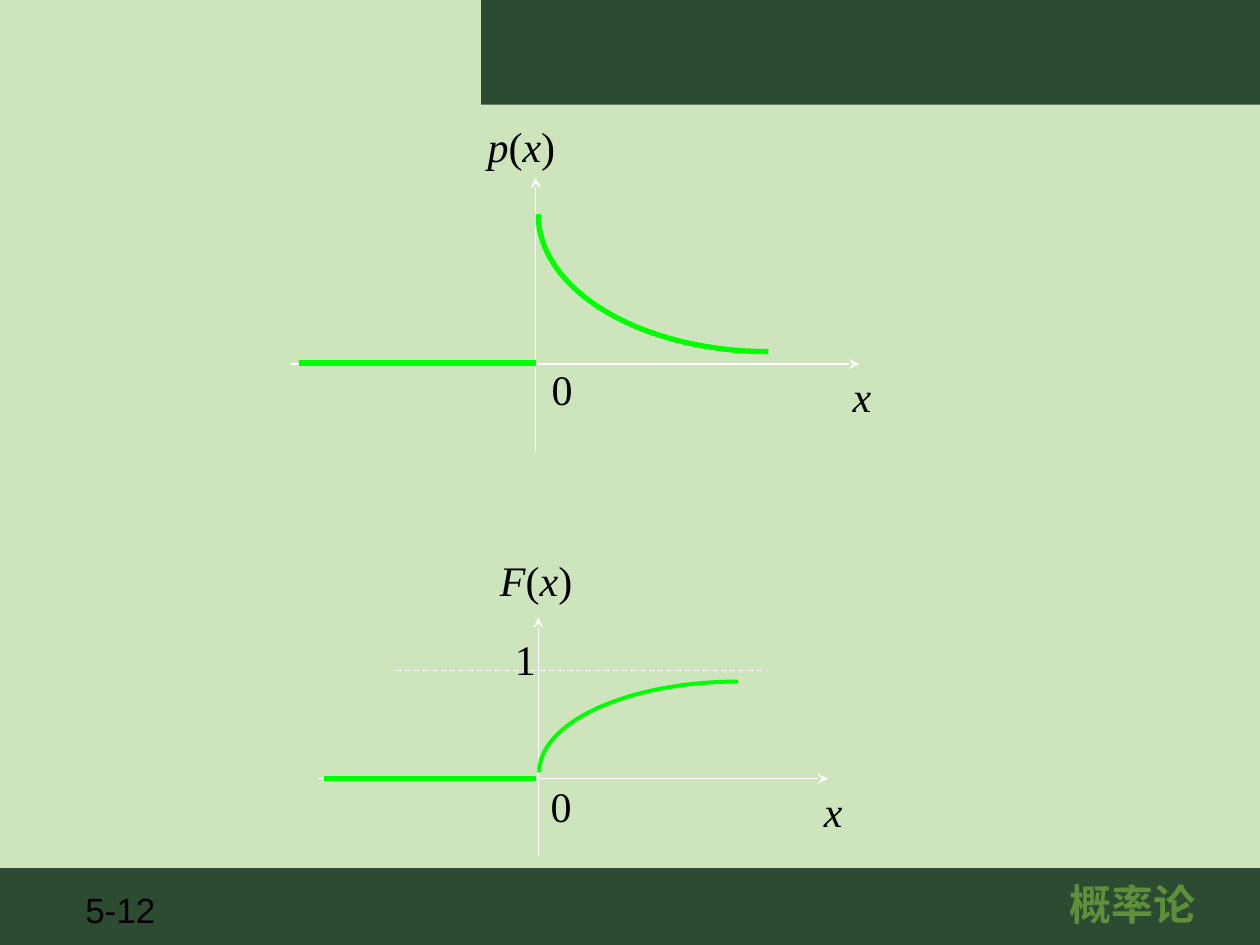
from math import cos, pi, sin

from pptx import Presentation
from pptx.dml.color import RGBColor
from pptx.enum import dml, shapes, text
from pptx.oxml.ns import qn
from pptx.util import Cm, Pt

COLOURS = {
    "ground": "CDE4BC",
    "footer": "2D4B33",
    "header": "2C4A32",
    "course": "5F8F3B",
    "ink": "000000",
    "axis": "FFFFFF",
    "curve": "00FF00",
}

# All lengths are in centimetres; text runs are (text, italic)
FOOTER = (0, 17.5, 25.4, 1.6)
HEADER = (9.7, 0, 15.7, 2.11)
PAGE_NUMBER = ("5-12", (1.47, 17.78, 1.98, 1.09))
COURSE = ("概率论", (18.9, 17.58, 7.85, 1.27))

LABEL_HEIGHT = 1.27
ARC_STEPS = 32

PLOTS = [
    {   # distribution function
        "asymptote": (7.98, 13.51, 15.47, 13.51),
        "x_axis": (6.43, 15.7, 16.69, 15.7),
        "y_axis": (10.85, 17.25, 10.85, 12.45),
        "zero_part": (6.53, 15.7, 10.8, 15.7),
        "arc": {"centre": (14.88, 15.57), "radii": (4.01, -1.83), "width": 2.25},
        "labels": [
            ([("1", False)], 10.13, 12.65, 0.91),
            ([("x", True)], 16.36, 15.72, 0.89),
            ([("F", True), ("(", False), ("x", True), (")", False)], 9.83, 11.05, 1.96),
            ([("0", False)], 10.85, 15.6, 0.91),
        ],
    },
    {   # density
        "x_axis": (5.87, 7.34, 17.32, 7.34),
        "y_axis": (10.8, 9.12, 10.8, 3.58),
        "zero_part": (6.02, 7.32, 10.8, 7.32),
        "arc": {"centre": (15.49, 4.32), "radii": (4.64, 2.77), "width": 3},
        "labels": [
            ([("x", True)], 16.94, 7.34, 0.89),
            ([("p", True), ("(", False), ("x", True), (")", False)], 9.58, 2.31, 2.9),
            ([("0", False)], 10.87, 7.21, 0.91),
        ],
    },
]


def colour(name):
    return RGBColor.from_string(COLOURS[name])


def add_band(page, place, fill):
    band = page.shapes.add_shape(shapes.MSO_SHAPE.RECTANGLE, *map(Cm, place))
    band.shadow.inherit = False
    band.fill.solid()
    band.fill.fore_color.rgb = colour(fill)
    band.line.fill.background()


def add_text(parent, runs, place, size, font, ink="ink", bold=False, wrap=False,
             align=text.PP_ALIGN.LEFT):
    box = parent.add_textbox(*map(Cm, place))
    frame = box.text_frame
    frame.word_wrap = wrap
    frame.auto_size = text.MSO_AUTO_SIZE.SHAPE_TO_FIT_TEXT
    para = frame.paragraphs[0]
    para.alignment = align
    for words, italic in runs:
        span = para.add_run()
        span.text = words
        span.font.name = font
        span.font.size = Pt(size)
        span.font.bold = bold
        span.font.italic = italic
        span.font.color.rgb = colour(ink)


def add_line(parent, ends, ink, width, arrow=False, dashed=False):
    line = parent.add_connector(shapes.MSO_CONNECTOR.STRAIGHT, *map(Cm, ends))
    line.line.color.rgb = colour(ink)
    line.line.width = Pt(width)
    if dashed:
        line.line.dash_style = dml.MSO_LINE.DASH
    properties = line._element.spPr
    if arrow:
        head = properties.find(qn("a:ln")).makeelement(qn("a:tailEnd"), {"type": "stealth"})
        properties.find(qn("a:ln")).append(head)
    properties.append(properties.makeelement(qn("a:effectLst"), {}))


def add_arc(parent, centre, radii, width):
    """Quarter ellipse from below or above the centre to its left side."""
    angles = [pi / 2 * (1 + step / ARC_STEPS) for step in range(ARC_STEPS + 1)]
    points = [(Cm(centre[0] + radii[0] * cos(angle)),
               Cm(centre[1] + radii[1] * sin(angle))) for angle in angles]
    builder = parent.build_freeform(*points[0])
    builder.add_line_segments(points[1:], close=False)
    arc = builder.convert_to_shape()
    arc.shadow.inherit = False
    arc.fill.background()
    arc.line.color.rgb = colour("curve")
    arc.line.width = Pt(width)


def add_plot(page, plot):
    parts = page.shapes.add_group_shape().shapes
    if "asymptote" in plot:
        add_line(parts, plot["asymptote"], "axis", 0.75, dashed=True)
    for axis in ("x_axis", "y_axis"):
        add_line(parts, plot[axis], "axis", 0.75, arrow=True)
    add_line(parts, plot["zero_part"], "curve", 3)
    add_arc(parts, **plot["arc"])
    for runs, left, top, width in plot["labels"]:
        add_text(parts, runs, (left, top, width, LABEL_HEIGHT), 24, "Times New Roman")


def main():
    deck = Presentation()
    deck.slide_width, deck.slide_height = Cm(25.4), Cm(19.05)
    page = deck.slides.add_slide(deck.slide_layouts[6])
    page.background.fill.solid()
    page.background.fill.fore_color.rgb = colour("ground")

    # Frame: footer with page number and course name, header band
    add_band(page, FOOTER, "footer")
    number, place = PAGE_NUMBER
    add_text(page.shapes, [(number, False)], place, 20, "Arial", wrap=True)
    course, place = COURSE
    add_text(page.shapes, [(course, False)], place, 24, "Arial", "course", bold=True,
             wrap=True, align=text.PP_ALIGN.CENTER)
    add_band(page, HEADER, "header")

    # Graphs
    for plot in PLOTS:
        add_plot(page, plot)

    deck.save("out.pptx")


if __name__ == "__main__":
    main()
